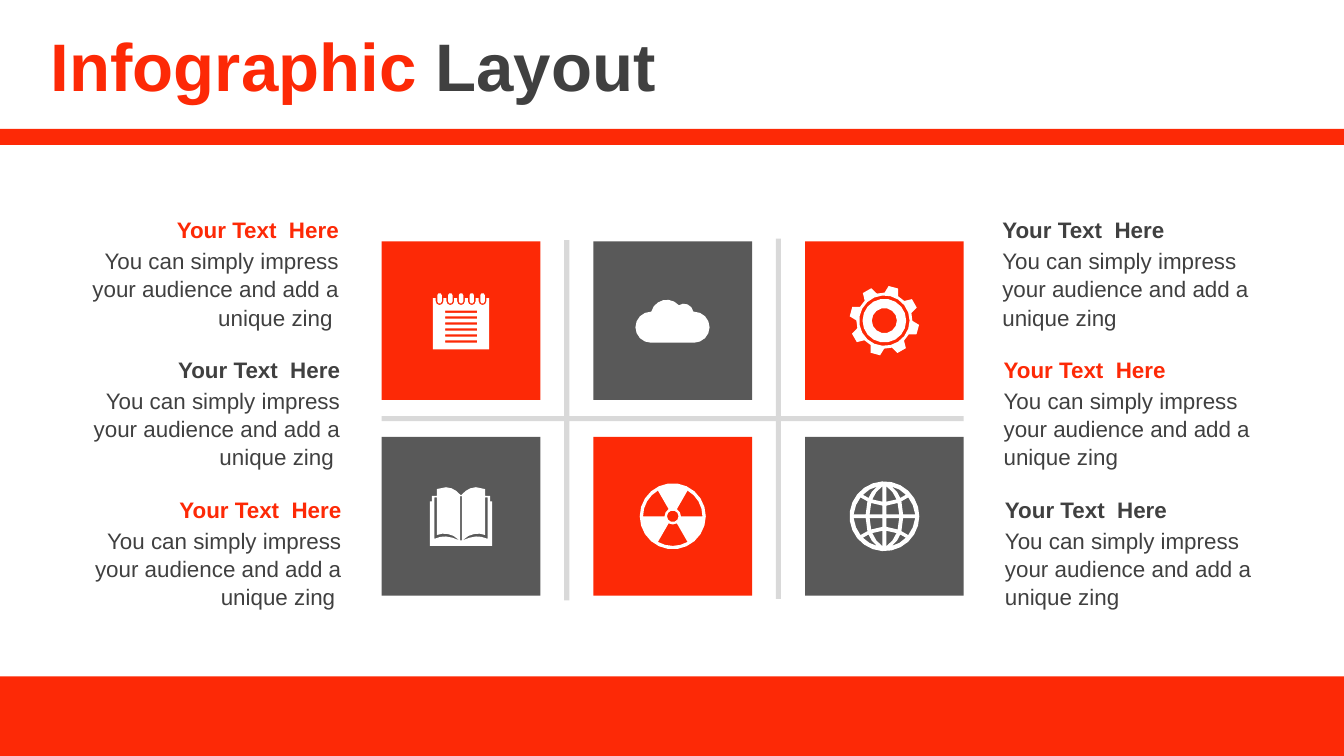
"""Build the infographic layout slide with six icon tiles and six captions."""
import math

import pptx
import pptx.dml.color
import pptx.enum.shapes
import pptx.enum.text
import pptx.util

Pt = pptx.util.Pt
RED = pptx.dml.color.RGBColor(0xFD, 0x29, 0x06)
GRAY = pptx.dml.color.RGBColor(0x59, 0x59, 0x59)
DARK = pptx.dml.color.RGBColor(0x40, 0x40, 0x40)
LIGHT = pptx.dml.color.RGBColor(0xD9, 0xD9, 0xD9)
WHITE = pptx.dml.color.RGBColor(0xFF, 0xFF, 0xFF)


def arc(x, y, radius, start, end):
    """Return points along an arc, with angles in degrees clockwise from the right."""
    steps = math.ceil(abs(end - start) * math.sqrt(radius) / 70)
    angles = [math.radians(start + (end - start) * i / steps) for i in range(steps + 1)]
    return [(x + radius * math.cos(a), y + radius * math.sin(a)) for a in angles]


def add_text(left, top, width, height, pieces, size, bold, align):
    """Add a text box with one paragraph of coloured pieces."""
    box = slide.shapes.add_textbox(Pt(left), Pt(top), Pt(width), Pt(height))
    frame = box.text_frame
    frame.word_wrap = True
    paragraph = frame.paragraphs[0]
    paragraph.alignment = align
    for words, color in pieces:
        run = paragraph.add_run()
        run.text = words
        run.font.name = "Arial"
        run.font.size = Pt(size)
        run.font.bold = bold
        run.font.color.rgb = color
    return frame


prs = pptx.Presentation()
prs.slide_width, prs.slide_height = Pt(720), Pt(405)
slide = prs.slides.add_slide(prs.slide_layouts[6])

TILE = 85
COLUMNS = [204.5 + 113.4 * i for i in range(3)]
ROWS = [129.3, 234.1]
blocks = [(0, 362.4, 720, 42.6, RED), (0, 69.1, 720, 8.6, RED)]
for row, top in enumerate(ROWS):
    for column, left in enumerate(COLUMNS):
        blocks.append((left, top, TILE, TILE, GRAY if (row + column) % 2 else RED))
blocks += [
    (204.5, 222.9, 311.8, 2.8, LIGHT),
    (302.2, 128.7, 2.8, 193, LIGHT),
    (415.6, 127.8, 2.8, 193, LIGHT),
]
for left, top, width, height, color in blocks:
    block = slide.shapes.add_shape(
        pptx.enum.shapes.MSO_SHAPE.RECTANGLE, Pt(left), Pt(top), Pt(width), Pt(height))
    block.shadow.inherit = False
    block.fill.solid()
    block.fill.fore_color.rgb = color
    block.line.fill.background()

page = [(-15.1, -12)]
rings, rules = [], []
for i in range(5):
    x = 5.76 * (i - 2)
    page += [(x - 2.1, -12), *arc(x, -10.4, 2.1, 180, 0), (x + 2.1, -12)]
    rings.append(arc(x, -13.6, 1.2, 180, 360) + arc(x, -10.3, 1.2, 0, 180))
for i in range(6):
    y = -4.8 + 3.2 * i
    rules.append([(-8.6, y - 0.6), (8.6, y - 0.6), (8.6, y + 0.6), (-8.6, y + 0.6)])
page += [(15.1, -12), (15.1, 15.4), (-15.1, 15.4)]
notepad = [page, *rings, *rules]

cloud = [
    arc(-11.7, 3.5, 8.3, 90, 270) + arc(-3.2, -2.6, 8.6, 195, 318)
    + arc(6, -4, 5.1, 235, 350) + arc(11.4, 3.5, 8.3, 270, 450)
]

teeth = []
for i in range(8):
    angle = -75 + 45 * i
    teeth += arc(0, 0, 18.7, angle - 8, angle + 8)
    teeth += arc(0, 0, 15, angle + 14.5, angle + 30.5)
gear = [teeth] + [arc(0, 0, radius, 0, 360) for radius in (13.5, 11.7, 6.7)]

cover = [(0, -11.2), (2.5, -13.6), (5, -15), (8, -15.6), (12.9, -14.6), (12.9, -11),
         (15.6, -11), (15.6, -8), (16.7, -8), (16.7, 15.9)]
gap = [(12.9, -10.2), (14.3, -10.2), (14.3, 12.1), (11, 11), (8, 10.8), (4.5, 11.5),
       (0.8, 12.9), (4, 10.5), (7, 9.5), (10, 9.3), (12.9, 10)]
spine = [(-0.5, -10.8), (0.5, -10.8), (0.5, 12.9), (-0.5, 12.9)]
book = [cover + [(-x, y) for x, y in reversed(cover)], gap, [(-x, y) for x, y in gap], spine]

radiation = [arc(0, 0, 17.7, 0, 360), arc(0, 0, 3.1, 0, 360)]
for start in (60, 180, 300):
    radiation.append(arc(0, 0, 15.9, start, start + 60) + arc(0, 0, 4.4, start + 60, start))

globe_cells = [
    [(1.1, 1), (7.9, 1), (7.1, 7.1), (1.1, 5.7)],
    [(1.1, 7.8), (6.5, 9), (4.3, 13), (1.1, 16)],
    [(10, 1), (9.1, 8), (12.8, 10.1), (15.2, 6), (16.5, 1)],
    [(8.5, 9.8), (6.8, 13), (3.9, 15.9), (8, 14.3), (11.5, 11.5)],
]
globe = [arc(0, 0, 18.7, 0, 360)]
for cell in globe_cells:
    for sx in (-1, 1):
        for sy in (-1, 1):
            globe.append([(sx * x, sy * y) for x, y in cell])

icons = [notepad, cloud, gear, book, radiation, globe]
for i, contours in enumerate(icons):
    cx = COLUMNS[i % 3] + TILE / 2
    cy = ROWS[i // 3] + TILE / 2
    outline = None
    for contour in contours:
        points = [(Pt(cx + x), Pt(cy + y)) for x, y in contour]
        if outline is None:
            outline = slide.shapes.build_freeform(*points[0])
        else:
            outline.move_to(*points[0])
        outline.add_line_segments(points[1:], close=True)
    icon = outline.convert_to_shape()
    icon.shadow.inherit = False
    icon.fill.solid()
    icon.fill.fore_color.rgb = WHITE
    icon.line.fill.background()

LEFT, RIGHT = pptx.enum.text.PP_ALIGN.LEFT, pptx.enum.text.PP_ALIGN.RIGHT
title = add_text(20.2, 0, 699.8, 69.8, [("Infographic ", RED), ("Layout", DARK)], 36, True, LEFT)
title.vertical_anchor = pptx.enum.text.MSO_ANCHOR.MIDDLE

body = "You can simply impress your audience and add a unique zing"
sides = [(36.7, RIGHT, body + " ", (RED, DARK, RED)), (529.9, LEFT, body, (DARK, RED, DARK))]
for side_left, align, words, heading_colors in sides:
    for row, color in enumerate(heading_colors):
        left, top = side_left + 0.7 * row, 111.6 + 75 * row
        for frame in (
            add_text(left, top + 16.6, 152, 51.1, [(words, DARK)], 12, False, align),
            add_text(left, top, 152, 21.6, [("Your Text  Here", color)], 12, True, align),
        ):
            frame.paragraphs[0].line_spacing = 1.05

prs.save("out.pptx")
